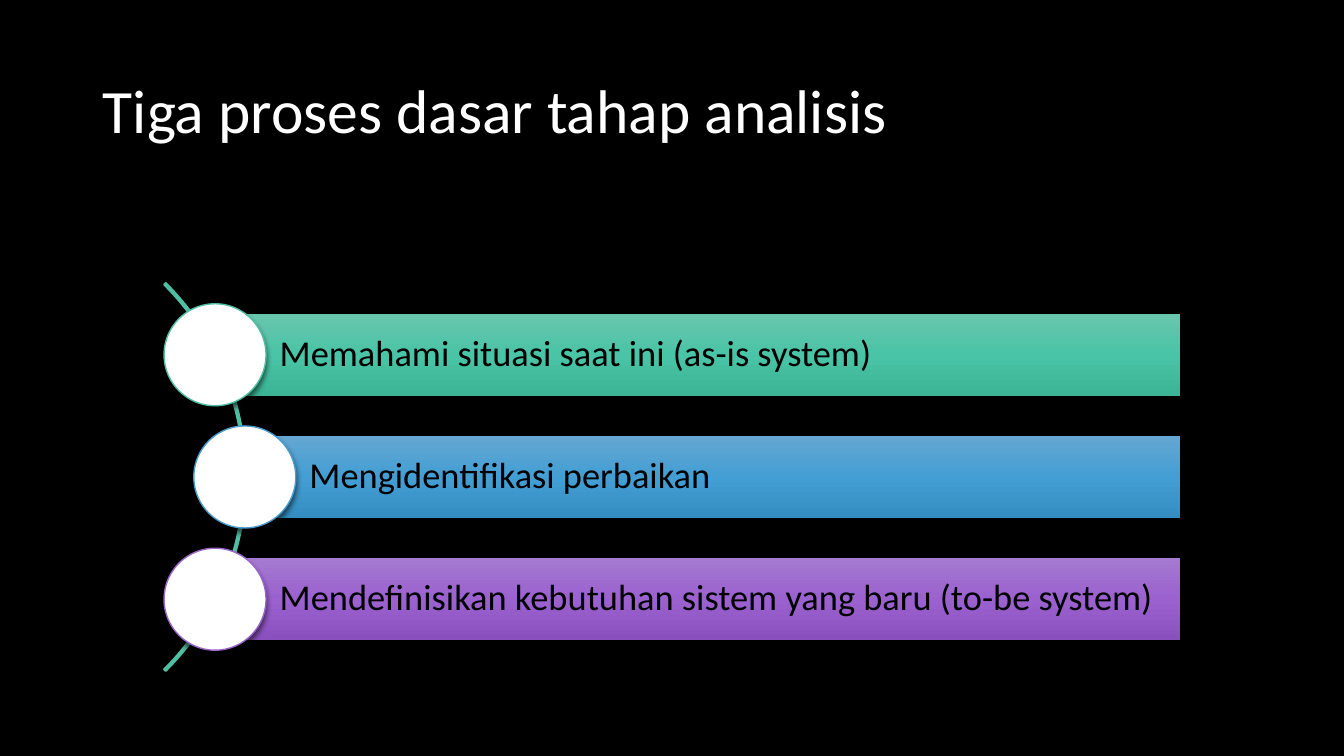
from copy import deepcopy
from dataclasses import dataclass

from lxml import etree
from pptx import Presentation
from pptx.dml.color import RGBColor
from pptx.enum.shapes import MSO_SHAPE
from pptx.enum.text import MSO_ANCHOR, MSO_AUTO_SIZE, PP_ALIGN
from pptx.oxml.ns import qn
from pptx.shapes.autoshape import Shape
from pptx.slide import Slide
from pptx.text.text import TextFrame
from pptx.util import Cm, Pt

ARC, BAR, CIRCLE = MSO_SHAPE.BLOCK_ARC, MSO_SHAPE.RECTANGLE, MSO_SHAPE.OVAL
MIDDLE, LEFT, NO_AUTOFIT = MSO_ANCHOR.MIDDLE, PP_ALIGN.LEFT, MSO_AUTO_SIZE.NONE
FONT = "Calibri"
COLORS = {"black": "000000", "white": "FFFFFF", "teal": "50BEA3", "blue": "4A9CCC", "purple": "9A66CA"}
GRADIENTS = {
    "teal": ("69C6AD", "4AC4A6", "3CB496"),
    "blue": ("65A7D2", "439ED3", "358EC2"),
    "purple": ("A57AD0", "9A61CF", "8950BE"),
}
FIRST_CENTER, ROW_PITCH = 8.94, 3.08
BAR_HEIGHT, BAR_RIGHT = 2.06, 29.74
CIRCLE_SIZE, ARC_SIZE, ARC_LEFT = 2.57, 13.82, -7.62


@dataclass(frozen=True)
class Step:
    """One process: its label, colour name and circle centre in cm."""

    label: str
    color: str
    center: float


STEPS = (
    Step("Memahami situasi saat ini (as-is system)", "teal", 5.42),
    Step("Mengidentifikasi perbaikan", "blue", 6.17),
    Step("Mendefinisikan kebutuhan sistem yang baru (to-be system)", "purple", 5.42),
)


def rgb(name: str) -> RGBColor:
    """Look up a named colour."""
    return RGBColor.from_string(COLORS[name])


def write_text(frame: TextFrame, text: str, size: float, color: str) -> None:
    """Write one left-aligned, vertically centred paragraph."""
    frame.text = text
    frame.word_wrap = True
    frame.auto_size = NO_AUTOFIT
    frame.vertical_anchor = MIDDLE
    para = frame.paragraphs[0]
    para.alignment = LEFT
    para.line_spacing = 0.9
    font = para.runs[0].font
    font.name, font.size = FONT, Pt(size)
    font.color.rgb = rgb(color)


def add_shadow(shape: Shape, opacity: int, blur: float, distance: float) -> None:
    """Give a shape a black shadow that falls straight down."""
    effects = shape._element.spPr.find(qn("a:effectLst"))
    shadow = etree.SubElement(
        effects, qn("a:outerShdw"), blurRad=str(Pt(blur)), dist=str(Pt(distance)), dir="5400000", rotWithShape="0"
    )
    color = etree.SubElement(shadow, qn("a:srgbClr"), val=COLORS["black"])
    etree.SubElement(color, qn("a:alpha"), val=str(opacity * 1000))


def fill_gradient(shape: Shape, colors: tuple[str, ...]) -> None:
    """Fill a shape with evenly spaced colours from top to bottom."""
    shape.fill.gradient()
    shape.fill.gradient_angle = 270
    stop_list = shape._element.spPr.find(".//" + qn("a:gsLst"))
    stop_list.append(deepcopy(stop_list[0]))
    for index, (stop, color) in enumerate(zip(shape.fill.gradient_stops, colors)):
        stop.position = index / (len(colors) - 1)
        stop.color.rgb = RGBColor.from_string(color)


def add_arc(slide: Slide) -> None:
    """Draw the curve that links the steps."""
    middle = FIRST_CENTER + ROW_PITCH * (len(STEPS) - 1) / 2
    arc = slide.shapes.add_shape(ARC, Cm(ARC_LEFT), Cm(middle - ARC_SIZE / 2), Cm(ARC_SIZE), Cm(ARC_SIZE))
    for index, value in enumerate((189, 27, 0.004)):
        arc.adjustments[index] = value
    arc.fill.background()
    arc.line.color.rgb = rgb("teal")
    arc.line.width = Pt(1.5)
    arc.shadow.inherit = False


def add_step(slide: Slide, step: Step, middle: float) -> None:
    """Draw a labelled bar with a circle over its left end."""
    bar = slide.shapes.add_shape(
        BAR, Cm(step.center), Cm(middle - BAR_HEIGHT / 2), Cm(BAR_RIGHT - step.center), Cm(BAR_HEIGHT)
    )
    fill_gradient(bar, GRADIENTS[step.color])
    bar.line.fill.background()
    bar.shadow.inherit = False
    add_shadow(bar, 63, 4.5, 1.5)
    frame = bar.text_frame
    frame.margin_left = Cm(1.63)
    frame.margin_top = frame.margin_right = frame.margin_bottom = Cm(0.18)
    write_text(frame, step.label, 26, "black")

    radius = CIRCLE_SIZE / 2
    circle = slide.shapes.add_shape(
        CIRCLE, Cm(step.center - radius), Cm(middle - radius), Cm(CIRCLE_SIZE), Cm(CIRCLE_SIZE)
    )
    circle.fill.solid()
    circle.fill.fore_color.rgb = rgb("white")
    circle.line.color.rgb = rgb(step.color)
    circle.line.width = Pt(1)
    circle.shadow.inherit = False
    add_shadow(circle, 54, 4, 3)


def main() -> None:
    """Build and save the slide."""
    deck = Presentation()
    deck.slide_width, deck.slide_height = Cm(33.87), Cm(19.05)
    page = deck.slides.add_slide(deck.slide_layouts.get_by_name("Title Only"))
    page.background.fill.solid()
    page.background.fill.fore_color.rgb = rgb("black")
    title = page.shapes.title
    title.left, title.top, title.width, title.height = Cm(2.34), Cm(1.02), Cm(29.21), Cm(3.68)
    write_text(title.text_frame, "Tiga proses dasar tahap analisis", 44, "white")
    add_arc(page)
    for row, step in enumerate(STEPS):
        add_step(page, step, FIRST_CENTER + row * ROW_PITCH)
    deck.save("out.pptx")


if __name__ == "__main__":
    main()
